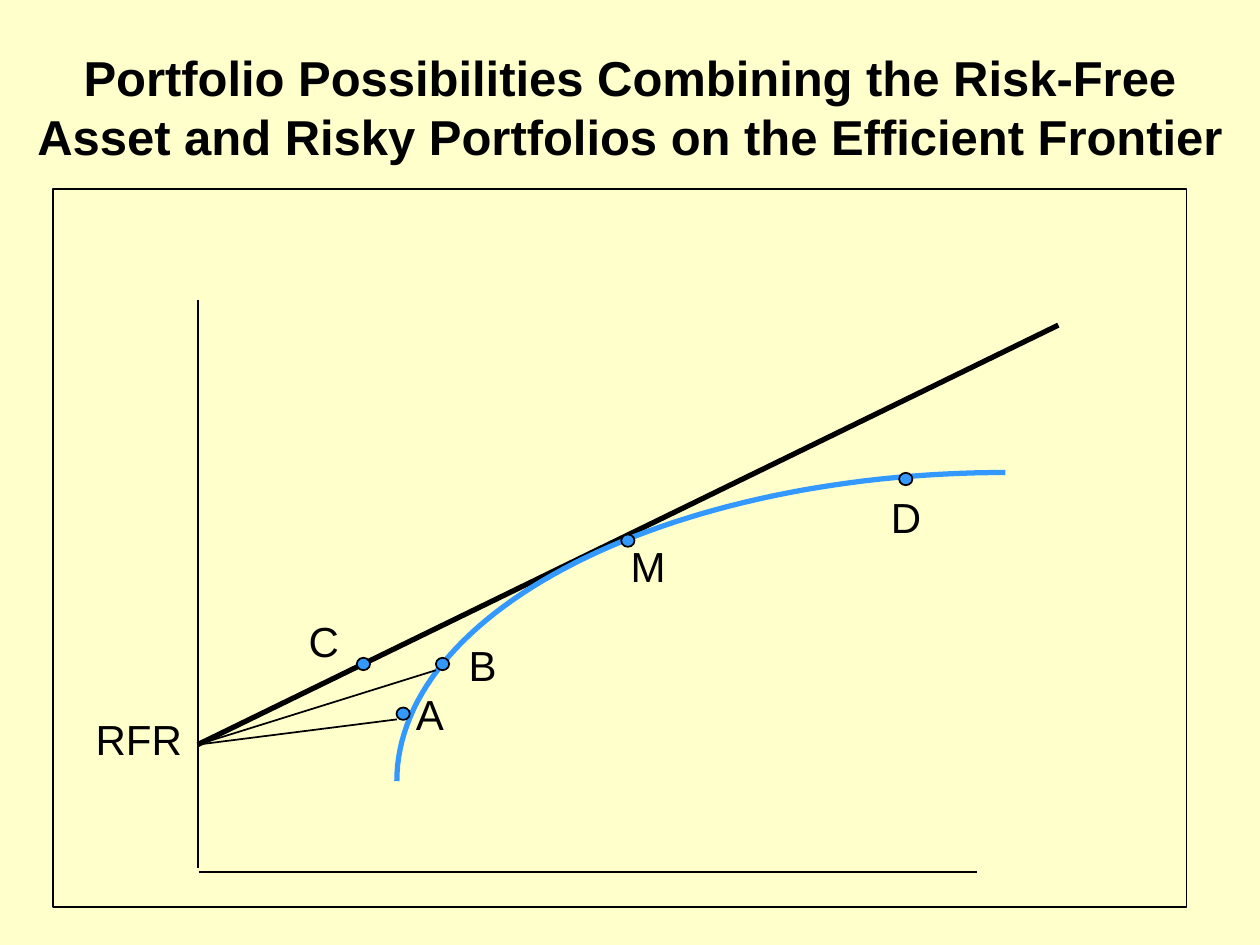
from math import cos, pi, sin

from lxml import etree
from pptx import Presentation
from pptx.dml.color import RGBColor
from pptx.enum.shapes import MSO_CONNECTOR, MSO_SHAPE
from pptx.enum.text import MSO_ANCHOR, MSO_AUTO_SIZE, PP_ALIGN
from pptx.oxml.ns import qn
from pptx.util import Pt

STRAIGHT = MSO_CONNECTOR.STRAIGHT
RECTANGLE, OVAL = MSO_SHAPE.RECTANGLE, MSO_SHAPE.OVAL
TOP, MIDDLE = MSO_ANCHOR.TOP, MSO_ANCHOR.MIDDLE

BACKGROUND, BLACK, BLUE = "FFFFCC", "000000", "3399FF"
TITLE = ("Portfolio Possibilities Combining the Risk-Free Asset "
         "and Risky Portfolios on the Efficient Frontier")

# All positions are in points.
FRAME = (30.24, 108, 648, 410.4)
RISK_FREE = (113.04, 425.5)
AXES = [((113.04, 171.4), (113.04, 496.1)), ((113.8, 498.2), (558, 498.2))]
TANGENT_END = (604.8, 185.8)
COMBINATION_ENDS = [(226.8, 411.1), (249.1, 383)]
FRONTIER_CENTER, FRONTIER_RADII, FRONTIER_STEPS = (574.5, 446.4), (347.7, 176.4), 60
DOT_WIDTH, DOT_HEIGHT = 7.6, 7.1
LABEL_HEIGHT = 36
# name: (dot left, dot top), (label left, label top, label width)
PORTFOLIOS = {
    "M": ((355, 305.4), (332.6, 305.4, 75.6)),
    "C": ((203.9, 375.9), (166.3, 348, 37.6)),
    "B": ((249.1, 375.9), (257, 362, 37.6)),
    "A": ((226.6, 404.3), (226.8, 390, 37.6)),
    "D": ((513.8, 270.2), (499, 277.3, 37.6)),
}


def color(value):
    return RGBColor.from_string(value)


def points(values):
    return [Pt(value) for value in values]


def set_style(shape, fill=None, line=BLACK, width=1):
    shape.shadow.inherit = False
    if fill:
        shape.fill.solid()
        shape.fill.fore_color.rgb = color(fill)
    else:
        shape.fill.background()
    shape.line.color.rgb = color(line)
    shape.line.width = Pt(width)


def add_shape(slide, kind, box, **style):
    set_style(slide.shapes.add_shape(kind, *points(box)), **style)


def add_line(slide, start, end, width=1):
    connector = slide.shapes.add_connector(STRAIGHT, *points(start + end))
    connector.line.color.rgb = color(BLACK)
    connector.line.width = Pt(width)
    etree.SubElement(connector._element.spPr, qn("a:effectLst"))


def add_text(slide, text, box, size=24, bold=False, anchor=TOP):
    frame = slide.shapes.add_textbox(*points(box)).text_frame
    frame.word_wrap = True
    frame.auto_size = MSO_AUTO_SIZE.SHAPE_TO_FIT_TEXT
    frame.vertical_anchor = anchor
    paragraph = frame.paragraphs[0]
    paragraph.text = text
    paragraph.alignment = PP_ALIGN.CENTER
    font = paragraph.font
    font.name, font.size, font.bold = "Arial", Pt(size), bold
    font.color.rgb = color(BLACK)


def add_frontier(slide):
    """Draw the upper left quarter of an ellipse as an open curve."""
    (center_x, center_y), (radius_x, radius_y) = FRONTIER_CENTER, FRONTIER_RADII
    angles = [pi / 2 * step / FRONTIER_STEPS for step in range(FRONTIER_STEPS + 1)]
    start, *rest = [points((center_x - radius_x * cos(angle),
                            center_y - radius_y * sin(angle))) for angle in angles]
    builder = slide.shapes.build_freeform(*start)
    builder.add_line_segments(rest, close=False)
    set_style(builder.convert_to_shape(), line=BLUE, width=3)


def main():
    presentation = Presentation()
    presentation.slide_width, presentation.slide_height = Pt(720), Pt(540)
    slide = presentation.slides.add_slide(presentation.slide_layouts[6])
    slide.background.fill.solid()
    slide.background.fill.fore_color.rgb = color(BACKGROUND)

    add_text(slide, TITLE, (0, 24, 720, 74), size=28, bold=True, anchor=MIDDLE)
    add_shape(slide, RECTANGLE, FRAME, width=0.75)
    for start, end in AXES:
        add_line(slide, start, end)
    add_text(slide, "RFR", (30.24, 404, 98, LABEL_HEIGHT))
    add_line(slide, RISK_FREE, TANGENT_END, width=3)
    add_frontier(slide)
    for end in COMBINATION_ENDS:
        add_line(slide, RISK_FREE, end)
    for name, (dot, label) in PORTFOLIOS.items():
        add_shape(slide, OVAL, dot + (DOT_WIDTH, DOT_HEIGHT), fill=BLUE)
        add_text(slide, name, label + (LABEL_HEIGHT,))
    presentation.save("out.pptx")


if __name__ == "__main__":
    main()
